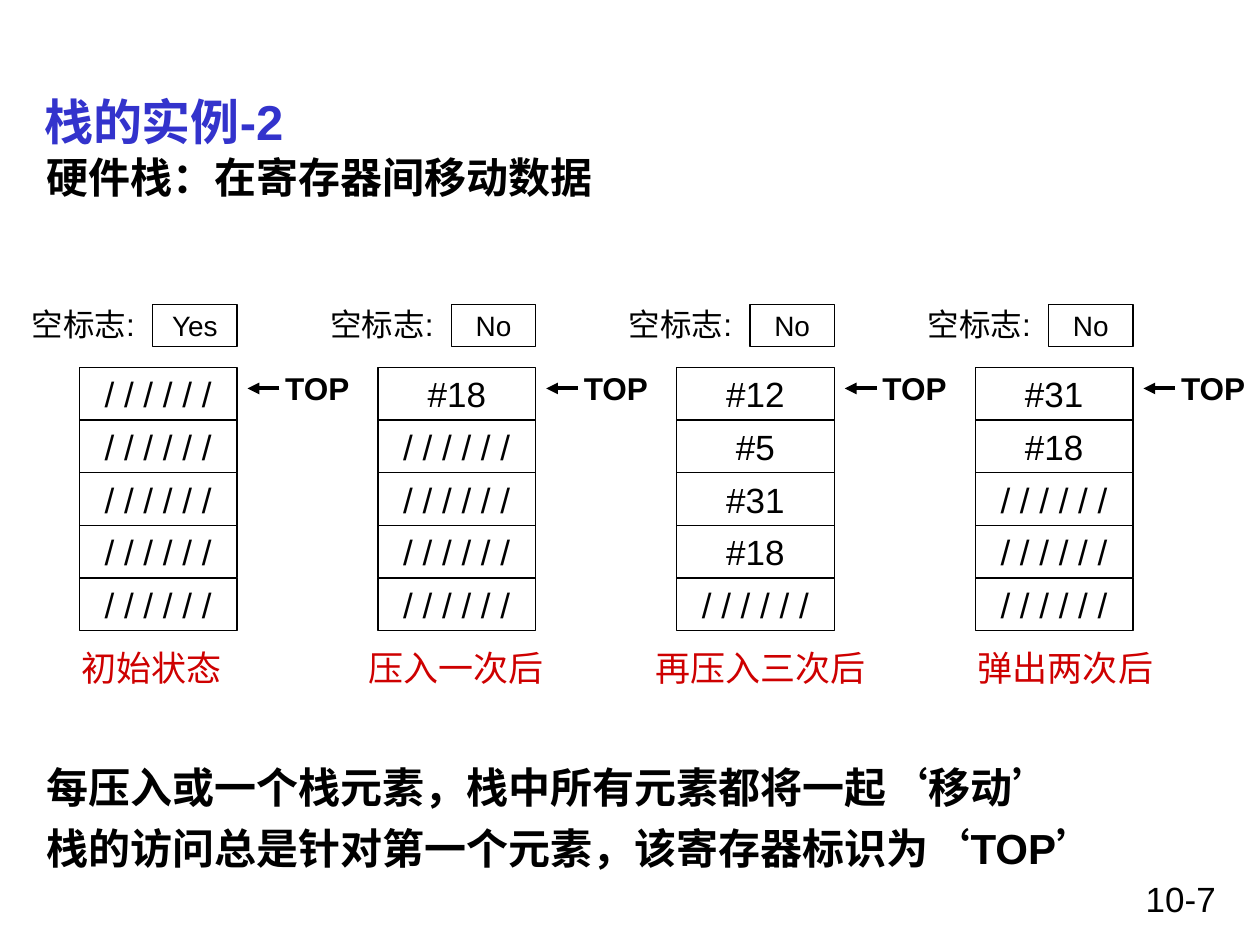
from pptx import Presentation
from pptx.dml.color import RGBColor
from pptx.enum.shapes import MSO_CONNECTOR, MSO_SHAPE
from pptx.enum.text import MSO_ANCHOR, PP_ALIGN
from pptx.oxml.ns import qn
from pptx.util import Cm, Pt
from lxml import etree

LEFT, CENTER, RIGHT = PP_ALIGN.LEFT, PP_ALIGN.CENTER, PP_ALIGN.RIGHT
TOP, MIDDLE = MSO_ANCHOR.TOP, MSO_ANCHOR.MIDDLE
RECTANGLE, STRAIGHT = MSO_SHAPE.RECTANGLE, MSO_CONNECTOR.STRAIGHT

COLORS = {"title": "3333CC", "text": "000000", "caption": "CE0000"}
FONT = "Arial"
EMPTY = "/ / / / / /"

presentation = Presentation()
presentation.slide_width, presentation.slide_height = Cm(25.4), Cm(19.05)
slide = presentation.slides.add_slide(presentation.slide_layouts[6])


def add_text(text, left, top, width, height, size=20, color="text", bold=False,
             align=LEFT, anchor=TOP, wrap=False, gap=0, outlined=False):
    """Place text, one paragraph per line, in a plain or an outlined box."""
    area = Cm(left), Cm(top), Cm(width), Cm(height)
    if outlined:
        shape = slide.shapes.add_shape(RECTANGLE, *area)
        shape.shadow.inherit = False
        shape.fill.background()
        shape.line.color.rgb = RGBColor.from_string(COLORS["text"])
        shape.line.width = Pt(0.75)
    else:
        shape = slide.shapes.add_textbox(*area)
    frame = shape.text_frame
    frame.text = text
    frame.word_wrap = wrap
    frame.vertical_anchor = anchor
    for index, paragraph in enumerate(frame.paragraphs):
        paragraph.alignment = align
        if index:
            paragraph.space_before = Pt(gap)
        for run in paragraph.runs:
            run.font.name = FONT
            run.font.size = Pt(size)
            run.font.bold = bold
            run.font.color.rgb = RGBColor.from_string(COLORS[color])


# Title, subtitle and page number
add_text("栈的实例-2", 0.64, 1.7, 24.13, 1.48, size=28, color="title",
         bold=True, anchor=MIDDLE, wrap=True)
add_text("硬件栈：在寄存器间移动数据", 0.69, 2.92, 24.13, 1.3, size=24,
         bold=True, wrap=True)
add_text("10-7", 18.2, 17.57, 6.56, 1.06, align=RIGHT, wrap=True)

# Four states of the stack: empty flag, cells from the top down, caption
states = [
    ("Yes", [], "初始状态"),
    ("No", ["#18"], "压入一次后"),
    ("No", ["#12", "#5", "#31", "#18"], "再压入三次后"),
    ("No", ["#31", "#18"], "弹出两次后"),
]
CELL_COUNT = 5
STACK_LEFT, STACK_TOP, STACK_PITCH = 1.6, 7.41, 6.02
CELL_WIDTH, CELL_HEIGHT = 3.18, 1.06
CAPTION_LEFT, CAPTION_PITCH, CAPTION_WIDTH = 0.66, 6.14, 4.8
ARROW_Y = 7.83

for column, (flag, values, caption) in enumerate(states):
    left = STACK_LEFT + column * STACK_PITCH
    right = left + CELL_WIDTH

    # Stack cells
    cells = values + [EMPTY] * (CELL_COUNT - len(values))
    for row, value in enumerate(cells):
        add_text(value, left, STACK_TOP + row * CELL_HEIGHT, CELL_WIDTH, CELL_HEIGHT,
                 align=CENTER, anchor=MIDDLE, outlined=True)

    # Empty flag
    add_text(flag, right - 1.7, 6.14, 1.7, 0.85, size=16, align=CENTER,
             anchor=MIDDLE, outlined=True)
    add_text("空标志:", left - 1.37, 6.02, 2.74, 1.02, size=18, align=RIGHT)

    # Pointer to the top cell
    add_text("TOP", right + 0.72, 7.32, 1.8, 1.02, size=18, bold=True)
    arrow = slide.shapes.add_connector(STRAIGHT, Cm(right + 0.85), Cm(ARROW_Y),
                                       Cm(right + 0.21), Cm(ARROW_Y))
    arrow.line.color.rgb = RGBColor.from_string(COLORS["text"])
    arrow.line.width = Pt(2.25)
    properties = arrow._element.spPr
    etree.SubElement(properties.find(qn("a:ln")), qn("a:tailEnd"), type="triangle")
    etree.SubElement(properties, qn("a:effectLst"))

    # Caption
    add_text(caption, CAPTION_LEFT + column * CAPTION_PITCH, 12.9, CAPTION_WIDTH, 1.12,
             color="caption", align=CENTER)

# Closing remarks
add_text("每压入或一个栈元素，栈中所有元素都将一起‘移动’\n"
         "栈的访问总是针对第一个元素，该寄存器标识为‘TOP’",
         0.69, 15.23, 24.13, 2.6, size=24, bold=True, wrap=True, gap=6)

presentation.save("out.pptx")
